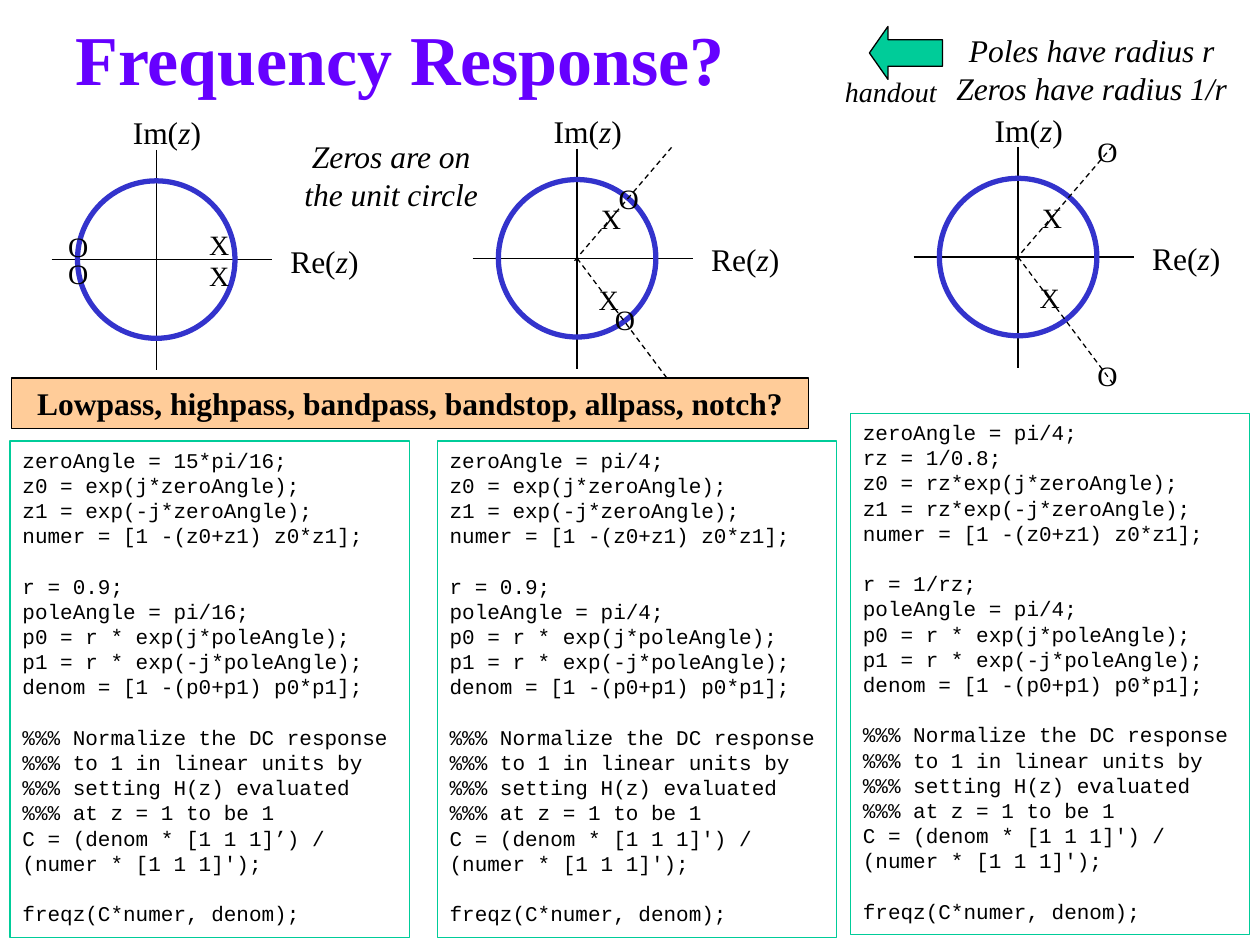
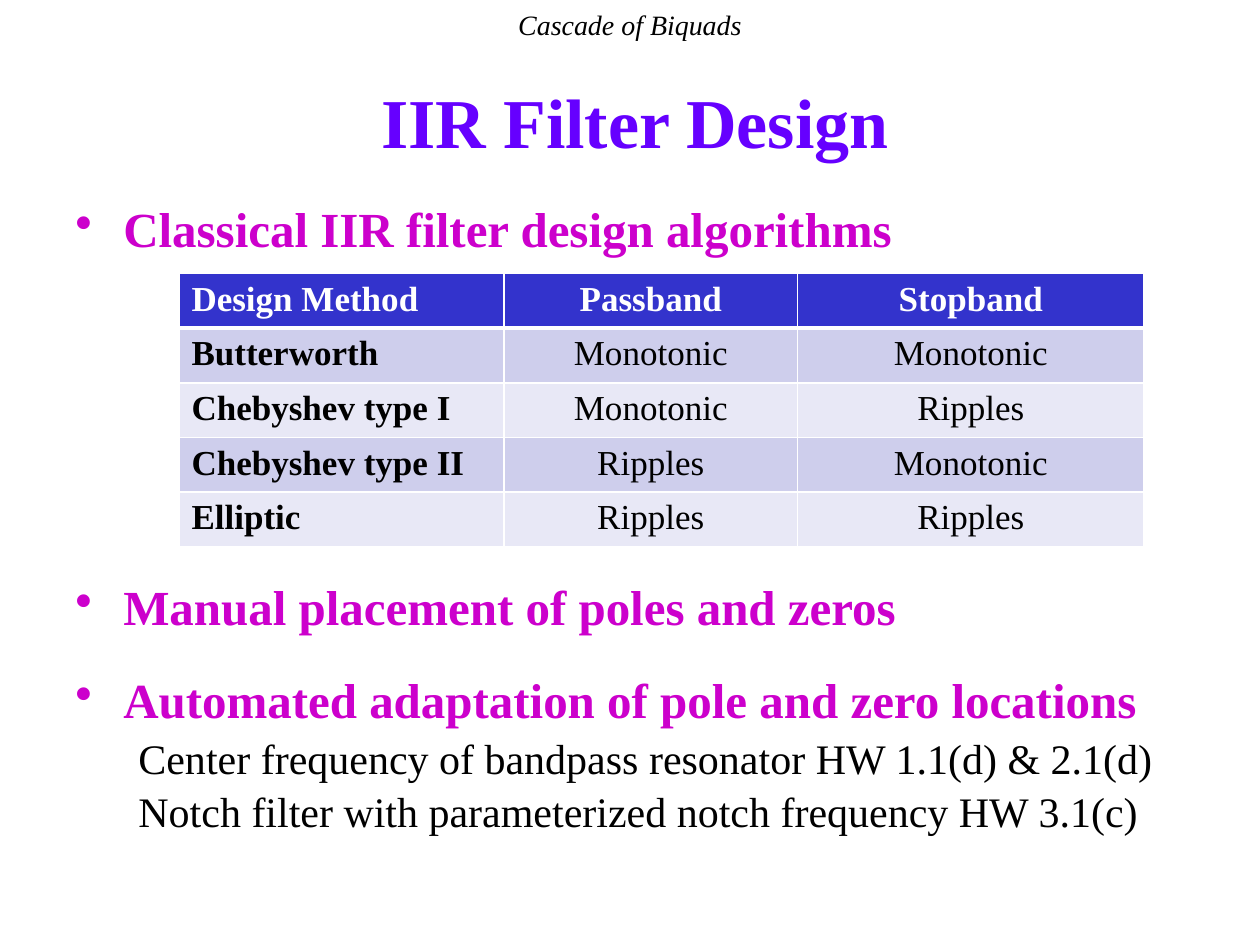
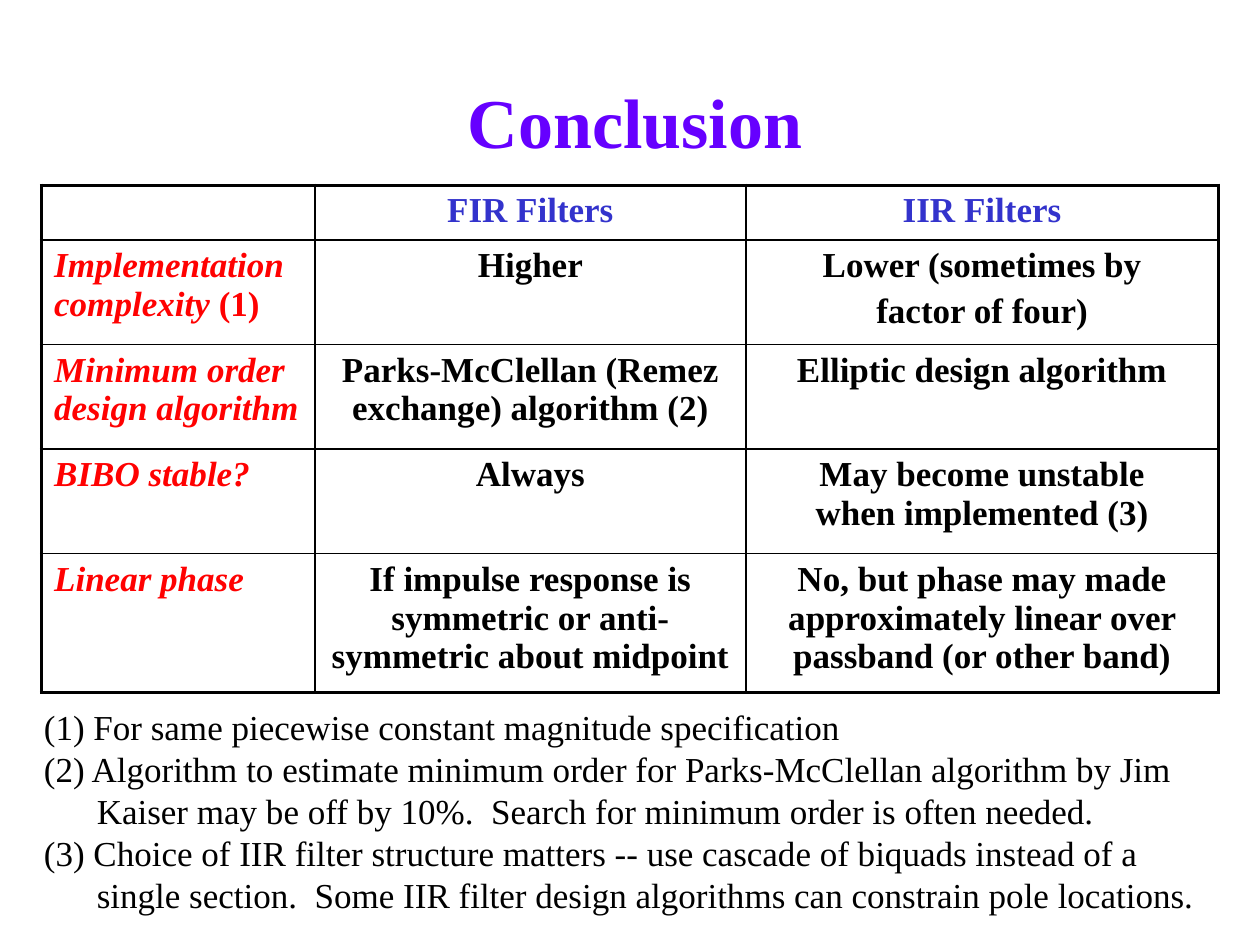
import dataclasses

import pptx
import pptx.dml.color
import pptx.enum.dml
import pptx.enum.shapes
import pptx.enum.text
import pptx.oxml
import pptx.oxml.ns
import pptx.util

Inches = pptx.util.Inches
Pt = pptx.util.Pt
RGBColor = pptx.dml.color.RGBColor
Align = pptx.enum.text.PP_ALIGN
Anchor = pptx.enum.text.MSO_ANCHOR
Preset = pptx.enum.shapes.MSO_SHAPE

BLACK = RGBColor(0x00, 0x00, 0x00)
WHITE = RGBColor(0xFF, 0xFF, 0xFF)
VIOLET = RGBColor(0x66, 0x00, 0xFF)
MAGENTA = RGBColor(0xCC, 0x00, 0xCC)
BLUE = RGBColor(0x33, 0x33, 0xCC)
GREEN = RGBColor(0x00, 0xCC, 0x99)
PEACH = RGBColor(0xFF, 0xCC, 0x99)
RED = RGBColor(0xFF, 0x01, 0x01)
DARK_BAND = RGBColor(0xCE, 0xCE, 0xEC)
LIGHT_BAND = RGBColor(0xE8, 0xE8, 0xF6)


@dataclasses.dataclass(frozen=True)
class TextStyle:
    size: float
    color: RGBColor = BLACK
    bold: bool = False
    italic: bool = False
    font: str = "Times New Roman"


TITLE = TextStyle(40, VIOLET, bold=True)
BULLET = TextStyle(28, MAGENTA, bold=True)
DETAIL = TextStyle(24)
NOTE = TextStyle(20)
AXIS_LABEL = TextStyle(18)
REMARK = TextStyle(18, italic=True)
BANNER = TextStyle(18, bold=True)
MARKER = TextStyle(16)
CAPTION = TextStyle(16, italic=True)
CODE = TextStyle(12, font="Courier New")
CELL = TextStyle(20)
CELL_BOLD = TextStyle(20, bold=True)
METHOD_HEADER = TextStyle(20, WHITE, bold=True)
FILTER_HEADER = TextStyle(20, BLUE, bold=True)
CRITERION = TextStyle(20, RED, bold=True, italic=True)

NORMALIZE = [
    "%%% Normalize the DC response",
    "%%% to 1 in linear units by",
    "%%% setting H(z) evaluated",
    "%%% at z = 1 to be 1",
]

DESIGN_METHODS = [
    ["Design Method", "Passband", "Stopband"],
    ["Butterworth", "Monotonic", "Monotonic"],
    ["Chebyshev type I", "Monotonic", "Ripples"],
    ["Chebyshev type II", "Ripples", "Monotonic"],
    ["Elliptic", "Ripples", "Ripples"],
]

FILTER_COMPARISON = [
    ["", "FIR Filters", "IIR Filters"],
    ["Implementation complexity ", "Higher", "Lower (sometimes by\nfactor of four)"],
    ["Minimum order design algorithm", "Parks-McClellan (Remez exchange) algorithm (2)",
     "Elliptic design algorithm"],
    ["BIBO stable?", "Always", "May become unstable\vwhen implemented (3)"],
    ["Linear phase", "If impulse response is symmetric or anti-symmetric about midpoint",
     "No, but phase may made approximately linear over passband (or other band)"],
]

FOOTNOTES = [
    "(1) For same piecewise constant magnitude specification",
    "(2) Algorithm to estimate minimum order for Parks-McClellan algorithm by Jim\v"
    "Kaiser may be off by 10%.  Search for minimum order is often needed.",
    "(3) Choice of IIR filter structure matters -- use cascade of biquads instead of a\v"
    "single section.  Some IIR filter design algorithms can constrain pole locations.",
]


def style_paragraph(paragraph, style, align=Align.LEFT):
    paragraph.alignment = align
    for run in paragraph.runs:
        run.font.name = style.font
        run.font.size = Pt(style.size)
        run.font.bold = style.bold
        run.font.italic = style.italic
        run.font.color.rgb = style.color


def indent_paragraph(paragraph, margin, first_line=0):
    properties = paragraph._p.get_or_add_pPr()
    properties.set("marL", str(Inches(margin)))
    properties.set("indent", str(Inches(first_line)))
    return properties


def write(text_frame, text, style, align=Align.LEFT):
    text_frame.word_wrap = True
    text_frame.text = text
    for paragraph in text_frame.paragraphs:
        style_paragraph(paragraph, style, align)


def add_text(slide, left, top, width, height, text, style, align=Align.LEFT):
    box = slide.shapes.add_textbox(Inches(left), Inches(top), Inches(width), Inches(height))
    write(box.text_frame, text, style, align)
    return box.text_frame


def add_title(slide, text, top=0.33, width=9.08, align=Align.CENTER):
    frame = add_text(slide, 0.5, top, width, 1.25, text, TITLE, align)
    frame.vertical_anchor = Anchor.MIDDLE


def add_preset(slide, preset, left, top, width, height, line, line_width=0.75, fill=None):
    shape = slide.shapes.add_shape(
        preset, Inches(left), Inches(top), Inches(width), Inches(height))
    shape.shadow.inherit = False
    shape.line.color.rgb = line
    shape.line.width = Pt(line_width)
    if fill is None:
        shape.fill.background()
    else:
        shape.fill.solid()
        shape.fill.fore_color.rgb = fill
    return shape


def add_line(slide, start, end, dashed=False):
    line = slide.shapes.add_connector(
        pptx.enum.shapes.MSO_CONNECTOR.STRAIGHT, *map(Inches, start + end))
    line.line.color.rgb = BLACK
    line.line.width = Pt(0.75)
    if dashed:
        line.line.dash_style = pptx.enum.dml.MSO_LINE.DASH
    properties = line._element.spPr
    properties.append(pptx.oxml.parse_xml(
        f"<a:effectLst {pptx.oxml.ns.nsdecls('a')}/>"))


def add_axis_label(slide, left, top, part):
    frame = add_text(slide, left, top, 0.83, 0.4, f"{part}(", AXIS_LABEL)
    paragraph = frame.paragraphs[0]
    for piece in ("z", ")"):
        paragraph.add_run().text = piece
    style_paragraph(paragraph, AXIS_LABEL, Align.CENTER)
    paragraph.runs[1].font.italic = True


def add_pole_zero_plot(slide, x, y, poles, zeros, rays=False):
    """Draw the unit circle around (x, y); poles and zeros are offsets from there."""
    radius = 0.625
    add_line(slide, (x, y - 0.87), (x, y + 0.88))
    add_line(slide, (x - 0.83, y), (x + 0.92, y))
    add_axis_label(slide, x + 0.92, y - 0.19, "Re")
    add_axis_label(slide, x - 0.33, y - 1.21, "Im")
    add_preset(slide, Preset.OVAL, x - radius, y - radius, 2 * radius, 2 * radius, BLUE, 3)
    for symbol, offsets in (("X", poles), ("O", zeros)):
        for dx, dy in offsets:
            add_text(slide, x + dx - 0.29, y + dy - 0.18, 0.58, 0.37,
                     symbol, MARKER, Align.CENTER)
    if rays:
        add_line(slide, (x, y), (x + 0.75, y + 1), dashed=True)
        add_line(slide, (x - 0.02, y + 0.02), (x + 0.75, y - 0.88), dashed=True)


def filter_code(zero_angle, pole_angle, radius, zero_radius=None, quote="'"):
    """Return the program as stanzas, each a list of lines."""
    scale = "rz*" if zero_radius else ""
    zeros = [f"zeroAngle = {zero_angle};"]
    if zero_radius:
        zeros.append(f"rz = {zero_radius};")
    zeros += [f"z0 = {scale}exp(j*zeroAngle);", f"z1 = {scale}exp(-j*zeroAngle);",
              "numer = [1 -(z0+z1) z0*z1];"]
    poles = [f"r = {radius};", f"poleAngle = {pole_angle};",
             "p0 = r * exp(j*poleAngle);", "p1 = r * exp(-j*poleAngle);",
             "denom = [1 -(p0+p1) p0*p1];"]
    gain = f"C = (denom * [1 1 1]{quote}) / (numer * [1 1 1]');"
    return [zeros, poles, NORMALIZE + [gain], ["freqz(C*numer, denom);"]]


def add_code(slide, left, top, height, stanzas):
    box = add_preset(slide, Preset.RECTANGLE, left, top, 3.17, height, GREEN)
    frame = box.text_frame
    frame.vertical_anchor = Anchor.TOP
    write(frame, "\n".join(line for stanza in stanzas for line in stanza), CODE)
    position = 0
    for stanza in stanzas[:-1]:
        position += len(stanza)
        frame.paragraphs[position].space_before = Pt(14.4)


def add_bullet(slide, top, height, text, details=()):
    frame = add_text(slide, 0.5, top, 9.08, height, "\n".join([text, *details]), BULLET)
    for paragraph in frame.paragraphs:
        paragraph.line_spacing = 0.9
    properties = indent_paragraph(frame.paragraphs[0], 0.38, -0.38)
    properties.append(pptx.oxml.parse_xml(
        f'<a:buChar {pptx.oxml.ns.nsdecls("a")} char="•"/>'))
    for paragraph in frame.paragraphs[1:]:
        style_paragraph(paragraph, DETAIL)
        paragraph.space_before = Pt(4.8)
        indent_paragraph(paragraph, 0.5)


def set_borders(cell, color, **widths):
    """Set the edges L, R, T and B, in that order, to widths in points."""
    properties = cell._tc.get_or_add_tcPr()
    for position, (edge, width) in enumerate(widths.items()):
        properties.insert(position, pptx.oxml.parse_xml(
            f'<a:ln{edge} {pptx.oxml.ns.nsdecls("a")} w="{Pt(width)}">'
            f'<a:solidFill><a:srgbClr val="{color}"/></a:solidFill></a:ln{edge}>'))


def add_table(slide, left, top, widths, heights, rows):
    table = slide.shapes.add_table(
        len(rows), len(widths), Inches(left), Inches(top),
        Inches(sum(widths)), Inches(sum(heights))).table
    table.first_row = table.horz_banding = False
    for column, width in zip(table.columns, widths):
        column.width = Inches(width)
    for row, height in zip(table.rows, heights):
        row.height = Inches(height)
    return table


def add_design_methods(slide):
    table = add_table(slide, 1.42, 2.17, [2.58, 2.33, 2.75], [0.41] * 5, DESIGN_METHODS)
    for i, row in enumerate(DESIGN_METHODS):
        for j, text in enumerate(row):
            cell = table.cell(i, j)
            style = METHOD_HEADER if i == 0 else CELL if j else CELL_BOLD
            write(cell.text_frame, text, style, Align.CENTER if j else Align.LEFT)
            cell.fill.solid()
            cell.fill.fore_color.rgb = BLUE if i == 0 else DARK_BAND if i % 2 else LIGHT_BAND
            set_borders(cell, WHITE, L=1, R=1, T=3 if i == 1 else 1, B=3 if i == 0 else 1)


def add_filter_comparison(slide):
    table = add_table(slide, 0.33, 1.47, [2.17, 3.42, 3.75],
                      [0.43, 0.83, 0.83, 0.83, 1.1], FILTER_COMPARISON)
    last_row, last_column = len(table.rows) - 1, len(table.columns) - 1
    for i, row in enumerate(FILTER_COMPARISON):
        for j, text in enumerate(row):
            cell = table.cell(i, j)
            style = FILTER_HEADER if i == 0 else CELL_BOLD if j else CRITERION
            write(cell.text_frame, text, style, Align.CENTER if j else Align.LEFT)
            for paragraph in cell.text_frame.paragraphs:
                paragraph.space_before = Pt(4)
            cell.fill.background()
            set_borders(cell, BLACK,
                        L=2.25 if j == 0 else 1, R=2.25 if j == last_column else 1,
                        T=2.25 if i == 0 else 1, B=2.25 if i == last_row else 1)
    complexity = table.cell(1, 0).text_frame.paragraphs[0]
    complexity.add_run().text = "(1)"
    style_paragraph(complexity, CRITERION)
    complexity.runs[1].font.italic = False


def build_frequency_response(slide):
    add_title(slide, "Frequency Response?", top=-0.17, width=5.81, align=Align.LEFT)
    inner_poles = [(0.25, 0.32), (0.27, -0.32)]
    add_pole_zero_plot(slide, 1.24, 2.06, [(0.5, -0.12), (0.5, 0.12)],
                       [(-0.62, -0.11), (-0.62, 0.11)])
    add_pole_zero_plot(slide, 4.58, 2.05, inner_poles,
                       [(0.41, -0.48), (0.38, 0.48)], rays=True)
    add_pole_zero_plot(slide, 8.08, 2.04, inner_poles,
                       [(0.71, -0.84), (0.71, 0.94)], rays=True)

    add_code(slide, 0.08, 3.5, 3.94, filter_code("15*pi/16", "pi/16", "0.9", quote="’"))
    add_code(slide, 3.47, 3.5, 3.94, filter_code("pi/4", "pi/4", "0.9"))
    add_code(slide, 6.75, 3.28, 4.14, filter_code("pi/4", "pi/4", "1/rz", "1/0.8"))

    banner = add_preset(slide, Preset.RECTANGLE, 0.09, 3, 6.33, 0.4, BLACK, fill=PEACH)
    write(banner.text_frame, "Lowpass, highpass, bandpass, bandstop, allpass, notch?",
          BANNER, Align.CENTER)
    add_text(slide, 7.33, 0.2, 2.67, 0.71, "Poles have radius r Zeros have radius 1/r",
             REMARK, Align.CENTER)
    add_text(slide, 2.26, 1.04, 1.69, 0.71, "Zeros are on the unit circle",
             REMARK, Align.CENTER)
    arrow = add_preset(slide, Preset.RIGHT_ARROW, 6.9, 0.21, 0.58, 0.42, BLACK, fill=GREEN)
    arrow.adjustments[1] = 0.35
    arrow.rotation = 180
    add_text(slide, 6.57, 0.54, 1, 0.37, "handout", CAPTION, Align.CENTER)


def build_filter_design(slide):
    add_title(slide, "IIR Filter Design")
    add_text(slide, 0, 0.01, 10, 0.37, "Cascade of Biquads", CAPTION, Align.CENTER)
    add_bullet(slide, 1.58, 0.58, "Classical IIR filter design algorithms")
    add_design_methods(slide)
    add_bullet(slide, 4.58, 0.58, "Manual placement of poles and zeros")
    add_bullet(slide, 5.32, 1.85, "Automated adaptation of pole and zero locations",
               ["Center frequency of bandpass resonator HW 1.1(d) & 2.1(d)",
                "Notch filter with parameterized notch frequency HW 3.1(c)"])


def build_conclusion(slide):
    add_title(slide, "Conclusion")
    add_filter_comparison(slide)
    notes = add_text(slide, 0.25, 5.55, 9.67, 1.78, "\n".join(FOOTNOTES), NOTE)
    for paragraph in notes.paragraphs:
        indent_paragraph(paragraph, 0.42, -0.42)


def main():
    presentation = pptx.Presentation()
    presentation.slide_width = Inches(10)
    presentation.slide_height = Inches(7.5)
    blank = presentation.slide_layouts[6]
    for build in (build_frequency_response, build_filter_design, build_conclusion):
        build(presentation.slides.add_slide(blank))
    presentation.save("out.pptx")


if __name__ == "__main__":
    main()
